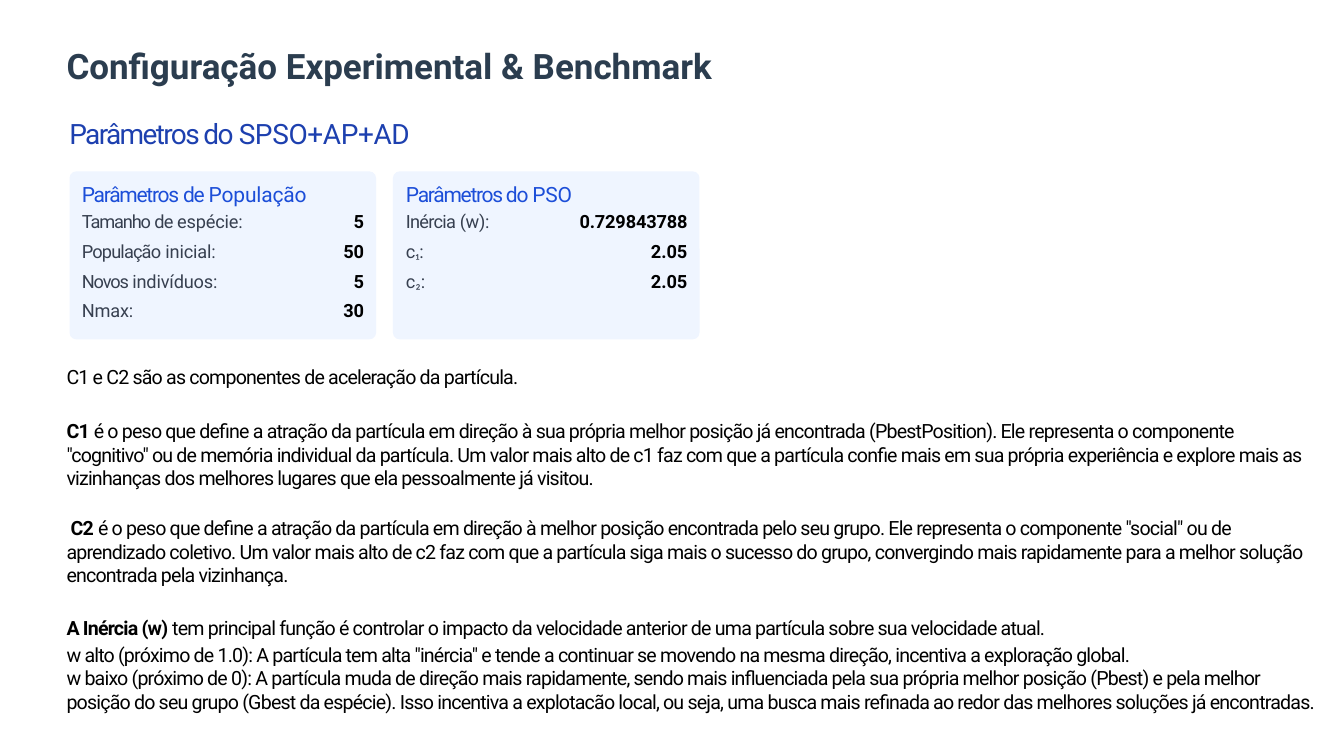
from pptx import Presentation
from pptx import util as u
from pptx.dml.color import RGBColor
from pptx.enum import shapes, text
from pptx.oxml import ns, xmlchemy

HUES = {"title": "2B3D4F", "sub": "1D40AF", "head": "1C4ED8",
        "label": "374050", "ink": "000000", "card": "EFF5FF"}
FORMS = {"title": {"size": 25, "bold": True}, "sub": {"size": 20, "bold": False},
         "head": {"size": 15, "bold": False}, "label": {"size": 13, "bold": False},
         "value": {"size": 13, "bold": True}, "body": {"size": 14, "bold": False}}
BARE = "{2D5ABB26-0587-4C30-8999-92F81FD0307C}"
SMALL = {"name": "Calibri", "size": u.Pt(11.5)}
STRONG = {"bold": True}

SUB = [("Parâmetros do ", -1.2), ("SPSO+AP+AD", -0.3)]
HEADS = [[("Parâmetros ", -0.9), ("de ", -1), ("População", -0.1)],
         [("Parâmetros do ", -0.9), ("PSO", -0.2)]]
ROWS = [
    ([("Tamanho ", -0.8), ("de ", -0.6), ("espécie:", -0.1)], [("5", -0.5)],
     [("Inércia ", -0.5), ("(w):", -0.2)], [("0.729843788", -0.1)]),
    ([("População", -0.6), (" inicial:", -0.1)], [("50", -0.2)],
     [("c", 0), ("₁", 0, SMALL), (":", 0)], [("2.05", 0)]),
    ([("Novos ", -0.8), ("indivíduos:", -0.1)], [("5", -0.5)],
     [("c", -0.2), ("₂", -0.2, SMALL), (":", -0.2)], [("2.05", 0)]),
    ([("Nmax:", -0.1)], [("30", -0.2)], [], []),
]
BODY = [
    (0, 0, "", "C1 e C2 são as componentes de aceleração da partícula."),
    (21.5, 0, "C1", " é o peso que define a atração da partícula em direção à sua própria "
     "melhor posição já encontrada (PbestPosition). Ele representa o componente "
     "\"cognitivo\" ou de memória individual da partícula. Um valor mais alto de c1 faz "
     "com que a partícula confie mais em sua própria experiência e explore mais as "
     "vizinhanças dos melhores lugares que ela pessoalmente já visitou."),
    (19, 3, "C2 ", "é o peso que define a atração da partícula em direção à melhor posição "
     "encontrada pelo seu grupo. Ele representa o componente \"social\" ou de aprendizado "
     "coletivo. Um valor mais alto de c2 faz com que a partícula siga mais o sucesso do "
     "grupo, convergindo mais rapidamente para a melhor solução encontrada pela vizinhança."),
    (21, 0, "A Inércia (w) ", "tem principal função é controlar o impacto da velocidade "
     "anterior de uma partícula sobre sua velocidade atual."),
    (2, 0, "", "w alto (próximo de 1.0): A partícula tem alta \"inércia\" e tende a continuar "
     "se movendo na mesma direção, incentiva a exploração global."),
    (0, 0, "", "w baixo (próximo de 0): A partícula muda de direção mais rapidamente, sendo "
     "mais influenciada pela sua própria melhor posição (Pbest) e pela melhor posição do seu "
     "grupo (Gbest da espécie). Isso incentiva a explotacão local, ou seja, uma busca mais "
     "refinada ao redor das melhores soluções já encontradas."),
]


def put(item, **vals):
    """Set each named value on the item."""
    for key, val in vals.items():
        setattr(item, key, val)


class Deck:
    """Holds the style and the current slide."""

    def __init__(self, wide, high, font):
        self.prs = Presentation()
        put(self.prs, slide_width=u.Pt(wide), slide_height=u.Pt(high))
        self.font = font
        self.slide = self.prs.slides.add_slide(self.prs.slide_layouts[1])

    def fill_in(self, para, runs, form, hue, **fmt):
        """Fill a paragraph with spaced runs."""
        put(para, **{"space_before": u.Pt(0), "line_spacing": 1.0, **fmt})
        for words, gap, *more in runs:
            run = para.add_run()
            run.text = words
            look = {"name": self.font, **FORMS[form], "size": u.Pt(FORMS[form]["size"])}
            put(run.font, **look)
            for extra in more:
                put(run.font, **extra)
            run.font.color.rgb = RGBColor.from_string(HUES[hue])
            if gap:
                run._r.get_or_add_rPr().set("spc", str(round(gap * 100)))

    def hold(self, spot, *box):
        """Place a placeholder and return its text frame."""
        put(spot, **dict(zip(("left", "top", "width", "height"), map(u.Pt, box))))
        frame = spot.text_frame
        put(frame, margin_left=0, margin_right=0, margin_top=u.Pt(1), margin_bottom=0,
            word_wrap=True, auto_size=text.MSO_AUTO_SIZE.NONE,
            vertical_anchor=text.MSO_ANCHOR.TOP)
        return frame

    def title(self, words, *box):
        """Set the slide title."""
        frame = self.hold(self.slide.shapes.title, *box)
        self.fill_in(frame.paragraphs[0], [(words, 0)], "title", "title",
                     alignment=text.PP_ALIGN.LEFT)

    def body(self, items, *box):
        """Set the body paragraphs without bullets."""
        frame = self.hold(self.slide.placeholders[1], *box)
        for num, (above, inset, lead, rest) in enumerate(items):
            para = frame.add_paragraph() if num else frame.paragraphs[0]
            prop = para._p.get_or_add_pPr()
            prop.set("marL", "0")
            prop.set("indent", str(u.Pt(inset)))
            prop.append(xmlchemy.OxmlElement("a:buNone"))
            runs = [(lead, -0.6, STRONG)] if lead else []
            self.fill_in(para, runs + [(rest, -0.6)], "body", "ink",
                         space_before=u.Pt(above))

    def card(self, *box):
        """Draw one pale rounded card."""
        card = self.slide.shapes.add_shape(
            shapes.MSO_SHAPE.ROUNDED_RECTANGLE, *map(u.Pt, box))
        card.adjustments[0] = 0.04
        card.shadow.inherit = False
        card.fill.solid()
        card.fill.fore_color.rgb = RGBColor.from_string(HUES["card"])
        card.line.fill.background()

    def grid(self, left, top, cols, rows):
        """Add the clear table that holds both parameter lists."""
        frame = self.slide.shapes.add_table(
            len(rows), len(cols), *map(u.Pt, (left, top, sum(cols), sum(rows))))
        grid = frame.table
        put(grid, first_row=False, horz_banding=False)
        grid._tbl.tblPr.find(ns.qn("a:tableStyleId")).text = BARE
        for col, wide in zip(grid.columns, cols):
            col.width = u.Pt(wide)
        for row, high in zip(grid.rows, rows):
            row.height = u.Pt(high)
        for cell in grid.iter_cells():
            cell.fill.background()
            put(cell, margin_left=0, margin_right=0, margin_top=u.Pt(0.7), margin_bottom=0)
        return grid

    def params(self, grid):
        """Fill the table with its heading, labels and values."""
        top = grid.cell(0, 0)
        top.merge(grid.cell(0, 3))
        top.margin_top = 0
        self.fill_in(top.text_frame.paragraphs[0], SUB, "sub", "sub",
                     line_spacing=u.Pt(18.4))
        for r, row in enumerate(ROWS, 1):
            for c, runs in enumerate(row):
                cell = grid.cell(r, c)
                para = cell.text_frame.paragraphs[0]
                if c % 2:
                    put(cell, margin_right=u.Pt((15, 2)[c // 2]))
                    if r == 1:
                        cell.margin_top = u.Pt(29.7)
                    self.fill_in(para, runs, "value", "ink", alignment=text.PP_ALIGN.RIGHT)
                    continue
                cell.margin_left = u.Pt((9, 15)[c // 2])
                above = 0
                if r == 1:
                    cell.margin_top = u.Pt(9.4)
                    self.fill_in(para, HEADS[c // 2], "head", "head")
                    para, above = cell.text_frame.add_paragraph(), 2.8
                self.fill_in(para, runs, "label", "label", space_before=u.Pt(above))


def main():
    """Build the slide and save it."""
    deck = Deck(960, 540, "Roboto")
    deck.title("Configuração Experimental & Benchmark", 47.5, 31, 485, 33)
    for num in range(2):
        deck.card(49.7 + 231 * num, 122.4, 219, 120)
    deck.params(deck.grid(49.5, 90, (181, 44.5, 138, 80), (31.7, 50.4, 21, 21, 16.5)))
    deck.body(BODY, 47.5, 260, 894, 268)
    deck.prs.save("out.pptx")


if __name__ == "__main__":
    main()
